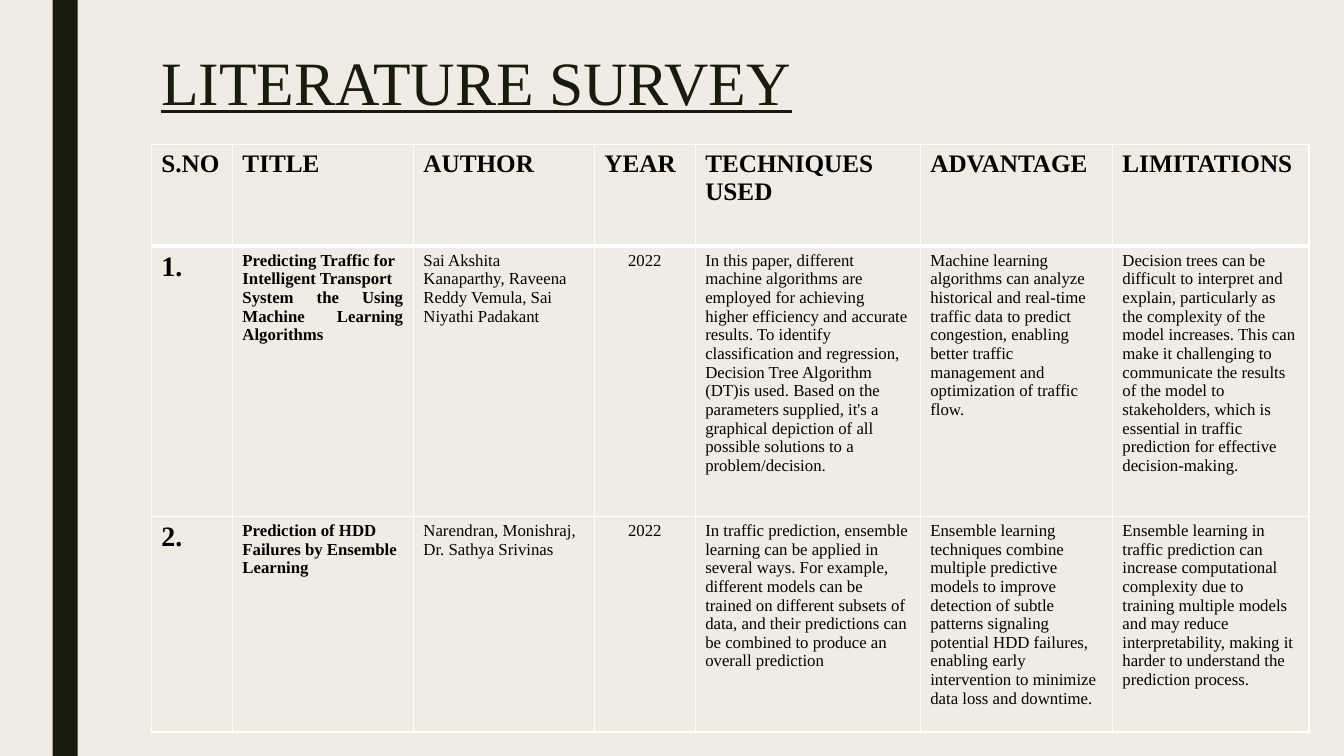
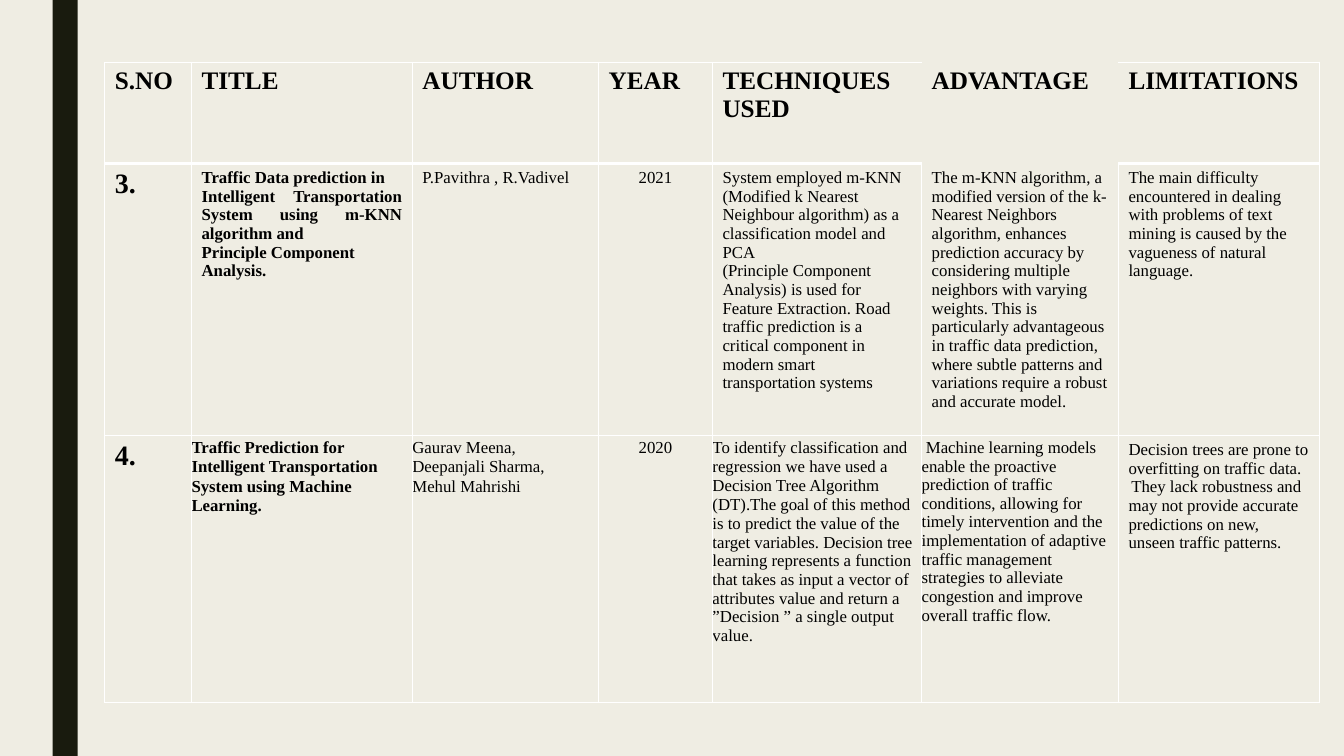
from lxml import etree
from pptx import Presentation
from pptx.dml.color import RGBColor
from pptx.enum import shapes, text
from pptx.oxml import ns
from pptx.util import Pt

FONT = "Times New Roman"
CREAM = RGBColor(0xEF, 0xED, 0xE3)
DARK = RGBColor(0x19, 0x1B, 0x0E)
BLACK = RGBColor(0, 0, 0)
WHITE = RGBColor(0xFF, 0xFF, 0xFF)
SLIDE_W, SLIDE_H = 960, 540
THIN, THICK = 1, 3
TITLE_ONLY, BLANK = 5, 6

NUMBER, TITLE, AUTHOR, YEAR, TECHNIQUES, ADVANTAGE, LIMITATIONS = range(7)
HEADERS = ["S.NO", "TITLE", "AUTHOR", "YEAR", "TECHNIQUES USED",
           "ADVANTAGE", "LIMITATIONS"]

# Each line break starts a new paragraph.
FIRST_PAPERS = [
    ["1.",
     "Predicting Traffic for\nIntelligent Transport\n"
     "System the Using Machine Learning Algorithms",
     "Sai Akshita\nKanaparthy, Raveena\nReddy Vemula, Sai\nNiyathi Padakant",
     "2022",
     "In this paper, different machine algorithms are employed for achieving "
     "higher efficiency and accurate results. To identify classification and "
     "regression, Decision Tree Algorithm (DT)is used. Based on the parameters "
     "supplied, it's a graphical depiction of all possible solutions to a "
     "problem/decision.",
     "Machine learning algorithms can analyze historical and real-time traffic "
     "data to predict congestion, enabling better traffic management and "
     "optimization of traffic flow.",
     "Decision trees can be difficult to interpret and explain, particularly as "
     "the complexity of the model increases. This can make it challenging to "
     "communicate the results of the model to stakeholders, which is essential "
     "in traffic prediction for effective decision-making."],
    ["2.",
     "Prediction of HDD\nFailures by Ensemble\nLearning",
     "Narendran, Monishraj,\nDr. Sathya Srivinas",
     "2022",
     "In traffic prediction, ensemble learning can be applied in several ways. "
     "For example, different models can be trained on different subsets of "
     "data, and their predictions can be combined to produce an overall "
     "prediction",
     "Ensemble learning\ntechniques combine\nmultiple predictive\n"
     "models to improve\ndetection of subtle\npatterns signaling\n"
     "potential HDD failures,\nenabling early\nintervention to minimize\n"
     "data loss and downtime.",
     "Ensemble learning in traffic prediction can increase computational "
     "complexity due to training multiple models and may reduce "
     "interpretability, making it harder to understand the prediction process."],
]
SECOND_PAPERS = [
    ["3.",
     "Traffic Data prediction in\nIntelligent Transportation System using m-KNN "
     "algorithm and\nPrinciple Component\nAnalysis.",
     "P.Pavithra , R.Vadivel",
     "2021",
     "System employed m-KNN\n(Modified k Nearest Neighbour algorithm) as a "
     "classification model and PCA\n(Principle Component Analysis) is used for "
     "Feature Extraction. Road traffic prediction is a critical component in "
     "modern smart transportation systems",
     "The m-KNN algorithm, a modified version of the k-Nearest Neighbors "
     "algorithm, enhances prediction accuracy by considering multiple neighbors "
     "with varying weights. This is particularly advantageous in traffic data "
     "prediction, where subtle patterns and variations require a robust and "
     "accurate model.",
     "The main difficulty encountered in dealing with problems of text mining "
     "is caused by the vagueness of natural language."],
    ["4.",
     "Traffic Prediction for\nIntelligent Transportation\n"
     "System using Machine\nLearning.",
     "Gaurav Meena,\nDeepanjali Sharma,\nMehul Mahrishi",
     "2020",
     "To identify classification and regression we have used a\n"
     "Decision Tree Algorithm\n(DT).The goal of this method is to predict the "
     "value of the target variables. Decision tree learning represents a "
     "function that takes as input a vector of attributes value and return a "
     "”Decision ” a single output value.",
     "Machine learning models enable the proactive prediction of traffic "
     "conditions, allowing for timely intervention and the implementation of "
     "adaptive traffic management strategies to alleviate congestion and "
     "improve overall traffic flow.",
     "Decision trees are prone to overfitting on traffic data.\n"
     "They lack robustness and may not provide accurate predictions on new, "
     "unseen traffic patterns."],
]


def style_run(run, size, color, bold=False):
    run.font.name = FONT
    run.font.size = Pt(size)
    run.font.bold = bold
    run.font.color.rgb = color


def new_slide(prs, layout):
    slide = prs.slides.add_slide(prs.slide_layouts[layout])
    band = slide.shapes.add_shape(shapes.MSO_SHAPE.RECTANGLE,
                                  Pt(37.5), 0, Pt(18), Pt(SLIDE_H))
    band.shadow.inherit = False
    band.fill.solid()
    band.fill.fore_color.rgb = DARK
    band.line.fill.background()
    return slide


def set_title(slide, wording):
    title = slide.shapes.title
    title.left, title.top = Pt(108), Pt(27.4)
    title.width, title.height = Pt(756), Pt(67.5)
    frame = title.text_frame
    frame.vertical_anchor = text.MSO_ANCHOR.TOP
    frame.auto_size = text.MSO_AUTO_SIZE.NONE
    heading = frame.paragraphs[0]
    heading.alignment = text.PP_ALIGN.LEFT
    run = heading.add_run()
    run.text = wording
    style_run(run, 44, DARK)
    run.font.underline = True


def set_borders(cell, widths):
    """Draw the left, right, top and bottom borders; a width of 0 hides one."""
    properties = cell._tc.get_or_add_tcPr()
    for side, width in zip("LRTB", widths):
        line = etree.SubElement(properties, ns.qn(f"a:ln{side}"),
                                w=str(Pt(width)))
        if width:
            fill = etree.SubElement(line, ns.qn("a:solidFill"))
            etree.SubElement(fill, ns.qn("a:srgbClr"), val=str(WHITE))
        else:
            etree.SubElement(line, ns.qn("a:noFill"))


def border_widths(row, column, open_header):
    """Return border widths, leaving the open header cell without any."""
    left = right = THIN
    top = THICK if row == 1 else THIN
    bottom = THICK if row == 0 else THIN
    if open_header is not None:
        if row == 0:
            left = 0 if column in (open_header, open_header + 1) else THIN
            right = 0 if column in (open_header - 1, open_header) else THIN
        if column == open_header and row < 2:
            top = 0
            bottom = 0 if row == 0 else THIN
    return left, right, top, bottom


def fill_cell(cell, wording, row, column):
    size, bold, alignment = 12, False, text.PP_ALIGN.LEFT
    if row == 0:
        size, bold = 18, True
    elif column == NUMBER:
        size, bold = 20, True
    elif column == TITLE:
        bold, alignment = True, text.PP_ALIGN.JUSTIFY
    elif column == YEAR:
        alignment = text.PP_ALIGN.CENTER
    frame = cell.text_frame
    for index, line in enumerate(wording.split("\n")):
        paragraph = frame.add_paragraph() if index else frame.paragraphs[0]
        paragraph.alignment = alignment
        run = paragraph.add_run()
        run.text = line
        style_run(run, size, BLACK, bold)


def add_survey(slide, left, top, widths, heights, papers, open_header=None):
    rows = [HEADERS] + papers
    table = slide.shapes.add_table(len(rows), len(HEADERS), Pt(left), Pt(top),
                                   Pt(sum(widths)), Pt(sum(heights))).table
    table.first_row = table.horz_banding = False
    for column, width in zip(table.columns, widths):
        column.width = Pt(width)
    for row, (wordings, height) in enumerate(zip(rows, heights)):
        table.rows[row].height = Pt(height)
        for column, wording in enumerate(wordings):
            cell = table.cell(row, column)
            set_borders(cell, border_widths(row, column, open_header))
            cell.fill.background()
            fill_cell(cell, wording, row, column)
    return table


def indent_first_line(paragraph, indent):
    properties = paragraph._p.get_or_add_pPr()
    properties.set("marL", "0")
    properties.set("indent", str(Pt(indent)))


def tighten_last_paper(table):
    """Set the inner cells of the last row flush with their borders."""
    last = len(table.rows) - 1
    for column in range(TITLE, LIMITATIONS):
        cell = table.cell(last, column)
        cell.margin_left = cell.margin_right = cell.margin_bottom = 0
        cell.margin_top = Pt(2)
        for paragraph in cell.text_frame.paragraphs:
            paragraph.space_after = Pt(0.6)
    indent_first_line(
        table.cell(last, ADVANTAGE).text_frame.paragraphs[0], 3)
    indent_first_line(
        table.cell(last, LIMITATIONS).text_frame.paragraphs[1], 2)


def main():
    prs = Presentation()
    prs.slide_width, prs.slide_height = Pt(SLIDE_W), Pt(SLIDE_H)
    background = prs.slide_master.background.fill
    background.solid()
    background.fore_color.rgb = CREAM

    opening = new_slide(prs, TITLE_ONLY)
    set_title(opening, "LITERATURE SURVEY")
    add_survey(opening, 108, 103.4, [58, 129.3, 129.3, 72, 160.8, 137.2, 140.4],
               [72.5, 193, 154], FIRST_PAPERS)

    continued = new_slide(prs, BLANK)
    survey = add_survey(continued, 74.8, 44.4,
                        [62, 157.8, 133, 81.4, 149.4, 140.6, 143.8],
                        [72.5, 194.3, 190.7], SECOND_PAPERS,
                        open_header=ADVANTAGE)
    tighten_last_paper(survey)
    prs.save("out.pptx")


if __name__ == "__main__":
    main()
